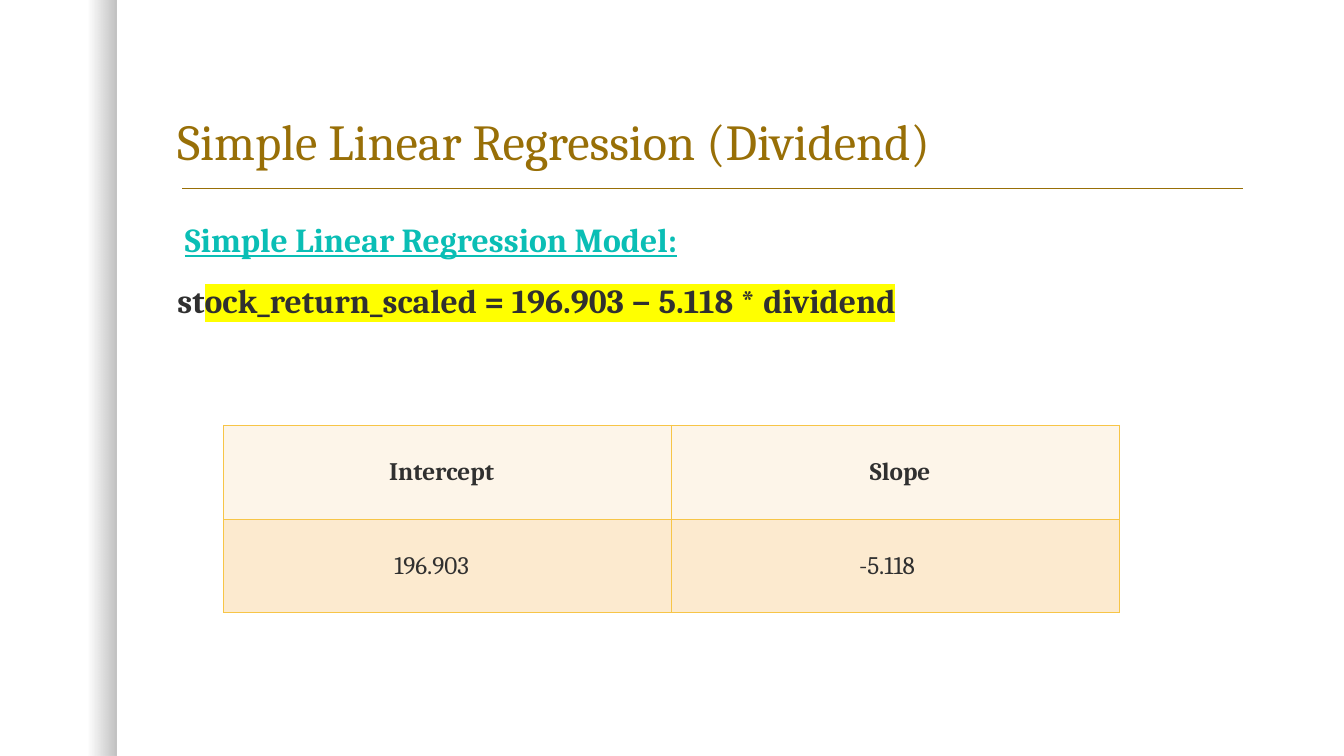
"""Builds a slide on a simple linear regression of stock return on dividend."""
import dataclasses
import typing

import pptx
import pptx.dml.color
import pptx.enum.shapes
import pptx.enum.text
import pptx.oxml
import pptx.oxml.ns
import pptx.util

WIDTH, HEIGHT = pptx.util.Inches(13.33), pptx.util.Inches(7.5)
COLUMNS, ROWS = 160, 90
FONT = "Cambria"
GOLD, TEAL, INK, YELLOW, BORDER = "986F07", "0ABEB5", "303030", "FFFF00", "F7C547"


@dataclasses.dataclass(frozen=True)
class Box:
    left: float
    top: float
    width: float
    height: float

    def place(self) -> tuple[int, int, int, int]:
        return col(self.left), row(self.top), col(self.width), row(self.height)


@dataclasses.dataclass(frozen=True)
class Phrase:
    text: str
    size: float
    color: str = INK
    bold: bool = False
    underline: bool = False
    highlight: str = ""


@dataclasses.dataclass(frozen=True)
class Entry:
    phrase: Phrase
    indent: float


SHADE = Box(0, 0, 13.92, 90)
TITLE = Box(19.92, 5, 129, 16)
BODY = Box(19.92, 26, 129, 55)
COEFFICIENTS = Box(26.64, 50.64, 106.66, 22.32)
RULE_LEFT, RULE_RIGHT, RULE_TOP = 21.72, 148, 22.44

MODEL = [
    [Phrase(" ", 24), Phrase("Simple Linear Regression Model:", 24, TEAL, True, True)],
    [
        Phrase("st", 24, bold=True),
        Phrase("ock_return_scaled = 196.903 − 5.118 * dividend", 24, bold=True, highlight=YELLOW),
    ],
]
ENTRIES = [
    [Entry(Phrase("Intercept", 18, bold=True), 19.7), Entry(Phrase("Slope", 18, bold=True), 23.6)],
    [Entry(Phrase("196.903", 18), 20.3), Entry(Phrase("-5.118", 18), 22.3)],
]
ROW_FILLS = ["FDF5E9", "FCEACF"]


def col(count: float) -> int:
    return round(WIDTH * count / COLUMNS)


def row(count: float) -> int:
    return round(HEIGHT * count / ROWS)


def rgb(value: str) -> pptx.dml.color.RGBColor:
    return pptx.dml.color.RGBColor.from_string(value)


def apply(target: typing.Any, values: dict[str, typing.Any]) -> None:
    for name, value in values.items():
        setattr(target, name, value)


def xml(markup: str) -> typing.Any:
    head, tail = markup.split(" ", 1)
    return pptx.oxml.parse_xml(f"{head} {pptx.oxml.ns.nsdecls('a')} {tail}")


def write(paragraph: typing.Any, phrase: Phrase) -> None:
    run = paragraph.add_run()
    run.text = phrase.text
    apply(run.font, {
        "name": FONT,
        "size": pptx.util.Pt(phrase.size),
        "bold": phrase.bold,
        "underline": phrase.underline,
    })
    run.font.color.rgb = rgb(phrase.color)
    if phrase.highlight:
        fill = run.font.fill
        fill.solid()
        fill.fore_color.rgb = rgb(phrase.color)
        run.font.color.rgb = rgb(phrase.color)
        solid = run.element.xpath("./a:rPr/a:solidFill")[0] if hasattr(run, "element") else \
            paragraph.runs[-1].font.fill and paragraph._p.xpath("./a:r[last()]/a:rPr/a:solidFill")[0]
        solid.addnext(xml(f'<a:highlight ><a:srgbClr val="{phrase.highlight}"/></a:highlight>'))


def draw_shade(slide: typing.Any) -> None:
    shade = slide.shapes.add_shape(pptx.enum.shapes.MSO_SHAPE.RECTANGLE, *SHADE.place())
    shade.shadow.inherit = False
    shade.line.fill.background()
    shade.fill.gradient()
    shade.fill.gradient_angle = 0
    for stop, (position, alpha) in zip(shade.fill.gradient_stops, [(0.75, 0), (1, 25)]):
        stop.position = position
        stop.color.rgb = rgb("000000")
        color = shade.element.xpath(".//a:gs/a:srgbClr")[-1]
        color.append(xml(f'<a:alpha val="{alpha * 1000}"/>'))


def draw_rule(slide: typing.Any) -> None:
    rule = slide.shapes.add_connector(
        pptx.enum.shapes.MSO_CONNECTOR.STRAIGHT,
        col(RULE_LEFT), row(RULE_TOP), col(RULE_RIGHT), row(RULE_TOP),
    )
    rule.line.color.rgb = rgb(GOLD)
    rule.line.width = pptx.util.Pt(1)
    rule.element.spPr.append(xml("<a:effectLst />"))


def fill_placeholder(holder: typing.Any, box: Box, lines: list[list[Phrase]],
                     anchor: typing.Any, before: float) -> None:
    apply(holder, dict(zip(("left", "top", "width", "height"), box.place())))
    frame = holder.text_frame
    apply(frame, {
        "vertical_anchor": anchor,
        "word_wrap": True,
        "auto_size": pptx.enum.text.MSO_AUTO_SIZE.NONE,
    })
    for number, phrases in enumerate(lines):
        paragraph = frame.add_paragraph() if number else frame.paragraphs[0]
        apply(paragraph, {
            "alignment": pptx.enum.text.PP_ALIGN.LEFT,
            "line_spacing": 0.9,
            "space_before": pptx.util.Pt(before),
        })
        properties = paragraph._p.get_or_add_pPr()
        properties.set("marL", "0")
        properties.set("indent", "0")
        properties.append(xml("<a:buNone />"))
        for phrase in phrases:
            write(paragraph, phrase)


def draw_coefficients(slide: typing.Any) -> None:
    table = slide.shapes.add_table(len(ENTRIES), len(ENTRIES[0]), *COEFFICIENTS.place()).table
    apply(table, {"first_row": False, "horz_banding": False})
    for r, (entries, fill) in enumerate(zip(ENTRIES, ROW_FILLS)):
        for c, entry in enumerate(entries):
            cell = table.cell(r, c)
            apply(cell, {
                "margin_left": col(entry.indent),
                "vertical_anchor": pptx.enum.text.MSO_ANCHOR.MIDDLE,
            })
            cell.fill.solid()
            cell.fill.fore_color.rgb = rgb(fill)
            write(cell.text_frame.paragraphs[0], entry.phrase)
            properties = cell._tc.get_or_add_tcPr()
            for place, side in enumerate("LRTB"):
                properties.insert(place, xml(
                    f'<a:ln{side} w="{pptx.util.Pt(1)}"><a:solidFill>'
                    f'<a:srgbClr val="{BORDER}"/></a:solidFill></a:ln{side}>'
                ))


def main() -> None:
    deck = pptx.Presentation()
    apply(deck, {"slide_width": WIDTH, "slide_height": HEIGHT})
    slide = deck.slides.add_slide(deck.slide_layouts[1])
    draw_shade(slide)
    draw_rule(slide)
    title = [[Phrase("Simple Linear Regression (Dividend)", 36, GOLD)]]
    anchors = pptx.enum.text.MSO_ANCHOR
    fill_placeholder(slide.shapes.title, TITLE, title, anchors.BOTTOM, 0)
    fill_placeholder(slide.placeholders[1], BODY, MODEL, anchors.TOP, 18)
    draw_coefficients(slide)
    deck.save("out.pptx")


if __name__ == "__main__":
    main()
